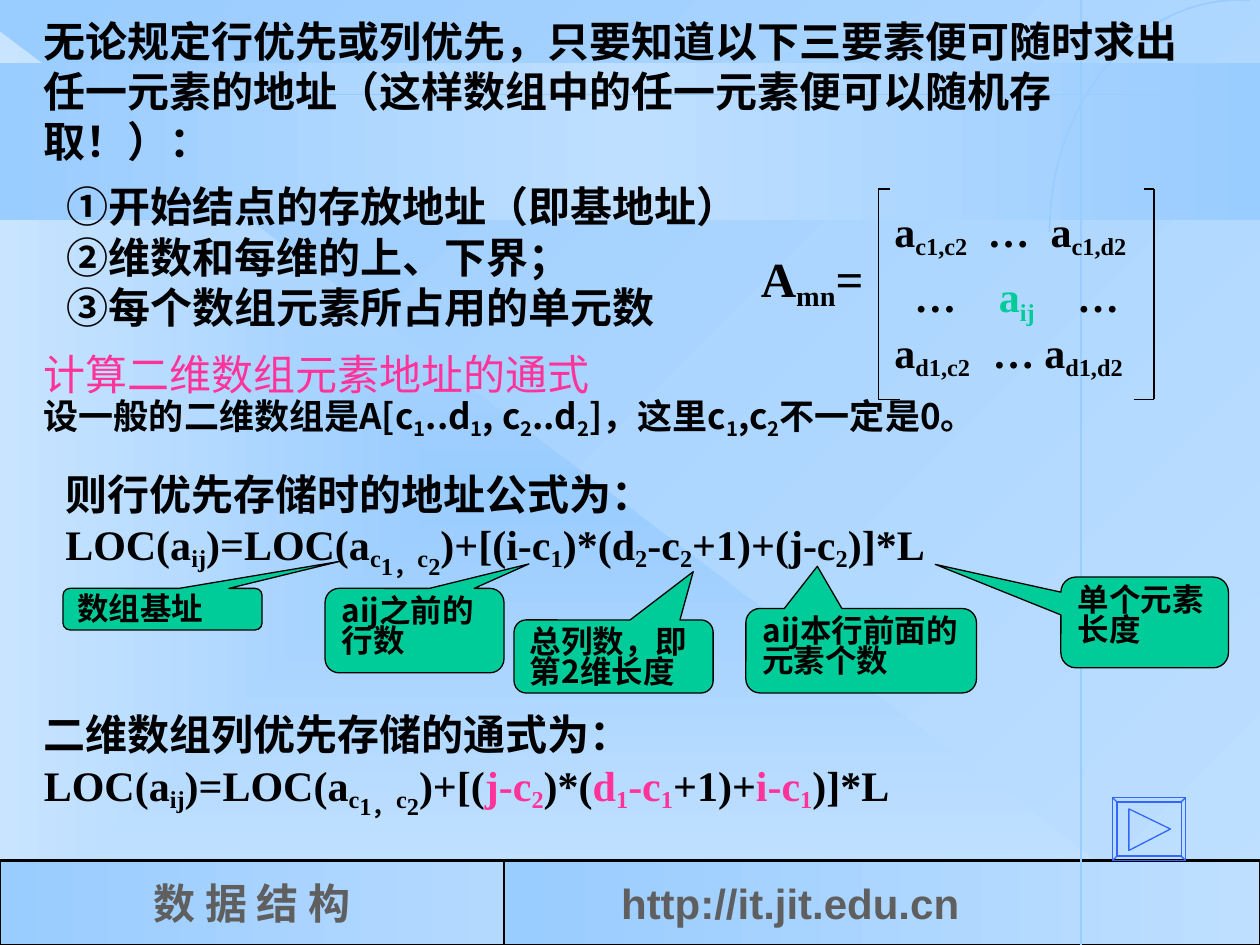
"""Build the slide on address formulas for two-dimensional arrays."""
import copy
import math

import pptx
import pptx.util
from lxml import etree
from pptx.dml.color import RGBColor
from pptx.enum.shapes import MSO_CONNECTOR, MSO_SHAPE
from pptx.enum.text import MSO_ANCHOR, PP_ALIGN
from pptx.oxml.ns import qn
from pptx.util import Inches, Pt

BLACK = RGBColor(0x00, 0x00, 0x00)
GRAY = RGBColor(0x5F, 0x5F, 0x5F)
PINK = RGBColor(0xFF, 0x33, 0x99)
GREEN = RGBColor(0x00, 0xCC, 0x99)
BLUE = RGBColor(0x33, 0x66, 0xFF)
SKY = RGBColor(0x99, 0xCC, 0xFF)
PALE = RGBColor(0xBE, 0xDF, 0xFF)
ICE = RGBColor(0xC8, 0xE4, 0xFF)
MIST = RGBColor(0xB4, 0xD9, 0xFF)
SANS, SERIF = "Noto Sans CJK SC", "Times New Roman"

INTRO = "无论规定行优先或列优先，只要知道以下三要素便可随时求出任一元素的地址（这样数组中的任一元素便可以随机存取！）："
ITEMS = [
    "①开始结点的存放地址（即基地址）",
    "②维数和每维的上、下界；",
    "③每个数组元素所占用的单元数",
]
TITLE = "计算二维数组元素地址的通式"
GIVEN = "设一般的二维数组是A[c|1|..d|1|, c|2|..d|2|]，这里c|1|,c|2|不一定是0。"
BASE = "LOC(a|ij|)=LOC(a|c||_1，||c||_2|)+[("
ROWS = "则行优先存储时的地址公式为："
BYROW = [BASE + "i-c|1|)*(d|2|-c|2|+1)+(j-c|2|)]*L"]
COLS = "二维数组列优先存储的通式为："
BYCOL = [BASE, ("j-c|2|", PINK), ")*(", ("d|1|-c|1|", PINK), "+1)+",
         ("i-c|1|", PINK), ")]*L"]
MATRIX = [
    (1.58, [("a|c1,c2|", 7.0), ("…", 7.74), ("a|c1,d2|", 8.24)]),
    (2.1, [("…", 7.16), ("a|ij|", 7.83), ("…", 8.45)]),
    (2.54, [("a|d1,c2|", 7.0), ("…", 7.78), ("a|d1,d2|", 8.19)]),
]
NOTES = [
    ("单个元素长度", (8.42, 4.58, 1.33, 0.72), (-1.25, -0.64)),
    ("aij之前的行数", (2.58, 4.67, 1.42, 0.67), (0.64, -0.79)),
    ("数组基址", (0.5, 4.67, 1.58, 0.33), (0.89, -1.15)),
    ("总列数，即第2维长度", (4.08, 4.92, 1.58, 0.58), (0.4, -1.16)),
    ("aij本行前面的元素个数", (5.92, 4.83, 1.83, 0.67), (-0.19, -1.0)),
]
BRACKETS = [(6.97, 7.06, 7.14), (9.16, 9.08, 9.0)]
TOP, FOOT = 1.5, 3.17

deck = pptx.Presentation()
deck.slide_width, deck.slide_height = Inches(10), Inches(7.5)
slide = deck.slides.add_slide(deck.slide_layouts[6])
shapes = slide.shapes


def blend(fill, *tones, angle=0):
    fill.gradient()
    fill.gradient_angle = angle
    if len(tones) == 3:
        first = fill.gradient_stops[0]._gs
        first.addnext(copy.deepcopy(first))
    for i, (stop, tone) in enumerate(zip(fill.gradient_stops, tones)):
        stop.position = i / (len(tones) - 1)
        stop.color.rgb = tone


def trim(shape, line=None, width=0.75):
    shape.shadow.inherit = False
    if line is None:
        shape.line.fill.background()
    else:
        shape.line.color.rgb = line
        shape.line.width = Pt(width)
    return shape


def block(kind, box, line=None, width=0.75):
    return trim(shapes.add_shape(kind, *map(Inches, box)), line, width)


def rule(x1, y1, x2, y2, tone=BLACK, width=0.75):
    line = shapes.add_connector(MSO_CONNECTOR.STRAIGHT, *map(Inches, (x1, y1, x2, y2)))
    line.line.color.rgb = tone
    line.line.width = Pt(width)
    etree.SubElement(line._element.spPr, qn("a:effectLst"))


def area(*box):
    frame = shapes.add_textbox(*map(Inches, box)).text_frame
    frame.word_wrap = True
    return frame


def write(frame, text, size=24, font=SANS, color=BLACK, bold=True, sub=-18,
          lead=1.19, align=PP_ALIGN.LEFT):
    para = frame.paragraphs[0]
    if para.runs:
        para = frame.add_paragraph()
    para._p.get_or_add_pPr().set("hangingPunct", "0")
    para.alignment = align
    if lead:
        para.line_spacing = Pt(round(size * lead, 1))
    for part in [text] if isinstance(text, str) else text:
        words, tone = (part, color) if isinstance(part, str) else part
        for i, word in enumerate(words.split("|")):
            if not word:
                continue
            run = para.add_run()
            run.text = word.lstrip("_")
            run.font.size, run.font.bold = Pt(size), bold
            run.font.color.rgb = tone
            run.font.name = font
            props = run._r.get_or_add_rPr()
            etree.SubElement(props, qn("a:ea"), typeface=SANS)
            if i % 2:
                drop = -35 if word[0] == "_" else sub
                props.set("baseline", str(drop * 1000))


def trace(points, line, width, close):
    start, *rest = [(Inches(x), Inches(y)) for x, y in points]
    pen = shapes.build_freeform(*start)
    pen.add_line_segments(rest, close=close)
    shape = trim(pen.convert_to_shape(), line, width)
    shape.fill.background()


def scene():
    blend(slide.background.fill, SKY, PALE, angle=315)
    wedge = block(MSO_SHAPE.RIGHT_TRIANGLE, (0, 0.25, 9.58, 7.25))
    blend(wedge.fill, SKY, ICE)
    lin = wedge._element.spPr.find(".//" + qn("a:lin"))
    path = etree.Element(qn("a:path"), path="rect")
    etree.SubElement(path, qn("a:fillToRect"), l="50000", t="50000", r="50000", b="50000")
    lin.getparent().replace(lin, path)
    blend(block(MSO_SHAPE.RECTANGLE, (0, 0.5, 10, 1.25)).fill, SKY, PALE, SKY)
    feet = [
        ("数 据 结 构", 0, 4, (SKY, MIST), SERIF, PP_ALIGN.CENTER, 0.1),
        ("http://it.jit.edu.cn", 4, 6, (SKY, PALE), "Arial", PP_ALIGN.LEFT, 0.93),
    ]
    for text, left, wide, tones, font, align, inset in feet:
        foot = block(MSO_SHAPE.RECTANGLE, (left, 6.83, wide, 0.67), BLACK, 1.5)
        blend(foot.fill, *tones)
        frame = foot.text_frame
        frame.margin_left = Inches(inset)
        frame.vertical_anchor = MSO_ANCHOR.MIDDLE
        write(frame, text, font=font, color=GRAY, align=align, lead=None)
    rule(0, 0.75, 10, 0.75, SKY, 1)
    rule(8.58, 0, 8.58, 7.5, SKY, 1.5)
    turns = [math.radians(a) for a in range(87, 181, 3)]
    trace([(9.84 + 1.51 * math.cos(t), 1.84 - 1.84 * math.sin(t)) for t in turns],
          SKY, 1, False)


def body():
    head = area(0.25, 2.67, 9.33, 0.92)
    head.vertical_anchor = MSO_ANCHOR.MIDDLE
    write(head, TITLE, color=PINK, bold=False)
    write(head, GIVEN, size=20)
    write(area(0.25, 0.08, 9.33, 0.9), INTRO)
    for box, name, sums in [((0.25, 5.58, 7.83, 0.99), COLS, BYCOL),
                            ((0.42, 3.67, 8.5, 0.99), ROWS, BYROW)]:
        frame = area(*box)
        write(frame, name)
        write(frame, sums, font=SERIF, lead=1.46)
    items = area(0.43, 1.39, 6, 1.3)
    for item in ITEMS:
        write(items, item)
    for top, row in MATRIX:
        for text, left in row:
            tone = GREEN if "ij" in text else BLACK
            write(area(left, top, 1, 0.5), text, font=SERIF, color=tone, sub=-20, lead=None)
    write(area(5.94, 1.92, 1.23, 0.61), "A|mn|=", size=28, font=SERIF, sub=-20, lead=None)
    for x, upper, lower in BRACKETS:
        rule(x, TOP, x, FOOT)
        rule(x, TOP, upper, TOP)
        rule(x, FOOT, lower, FOOT)
    for text, box, tip in NOTES:
        note = block(MSO_SHAPE.ROUNDED_RECTANGULAR_CALLOUT, box, BLACK)
        note.adjustments[0], note.adjustments[1] = tip
        note.fill.solid()
        note.fill.fore_color.rgb = GREEN
        note.text_frame.vertical_anchor = MSO_ANCHOR.TOP
        write(note.text_frame, text, size=18, lead=0.95)
    key = block(MSO_SHAPE.BEVEL, (8.83, 6.33, 0.58, 0.5), BLUE)
    key.adjustments[0] = 0.07
    key.fill.background()
    trace([(8.96, 6.42), (9.29, 6.58), (8.96, 6.75)], BLUE, 0.75, True)


if __name__ == "__main__":
    scene()
    body()
    deck.save("out.pptx")
